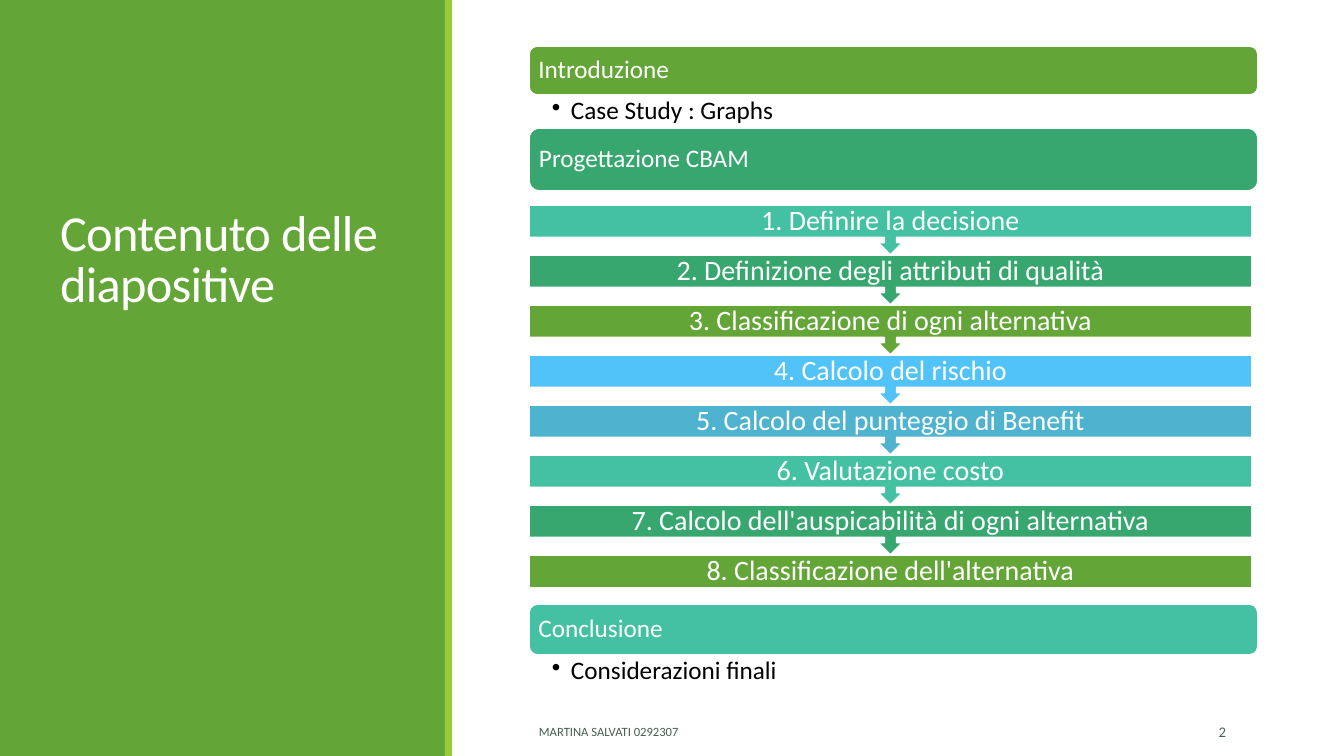
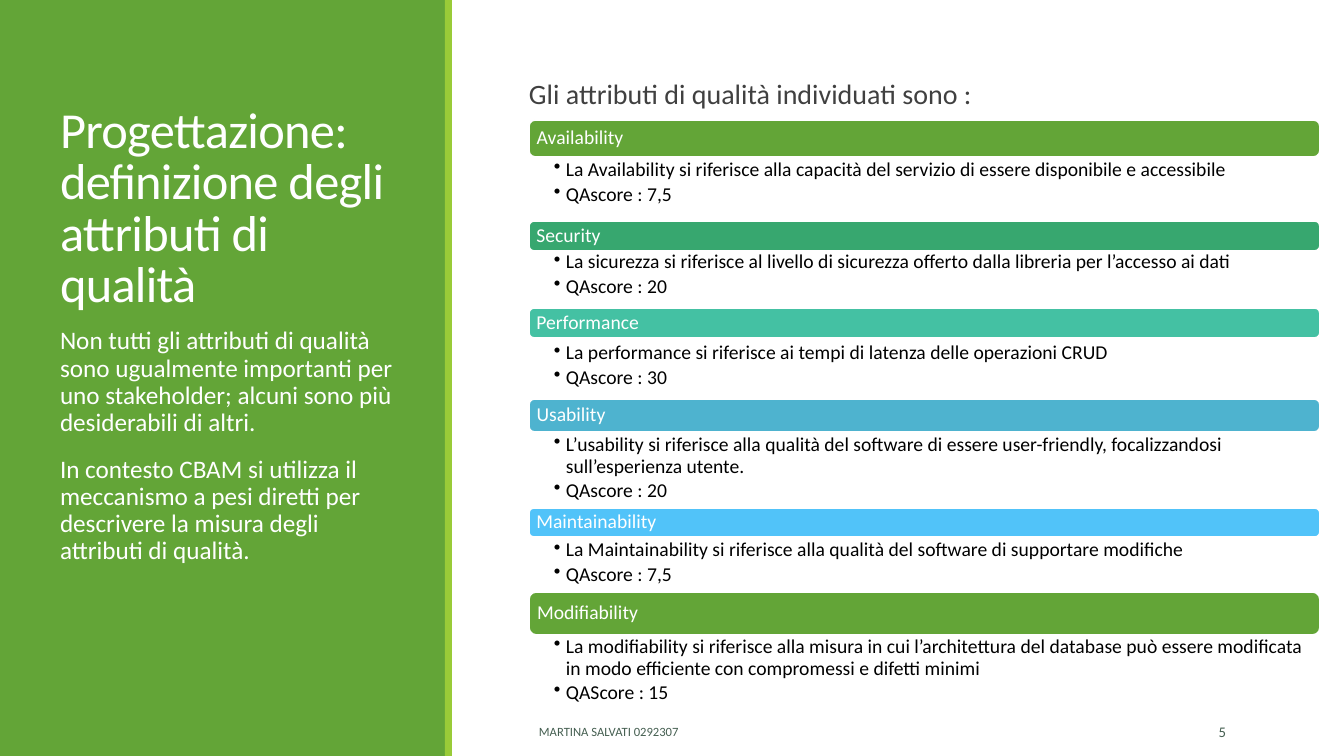
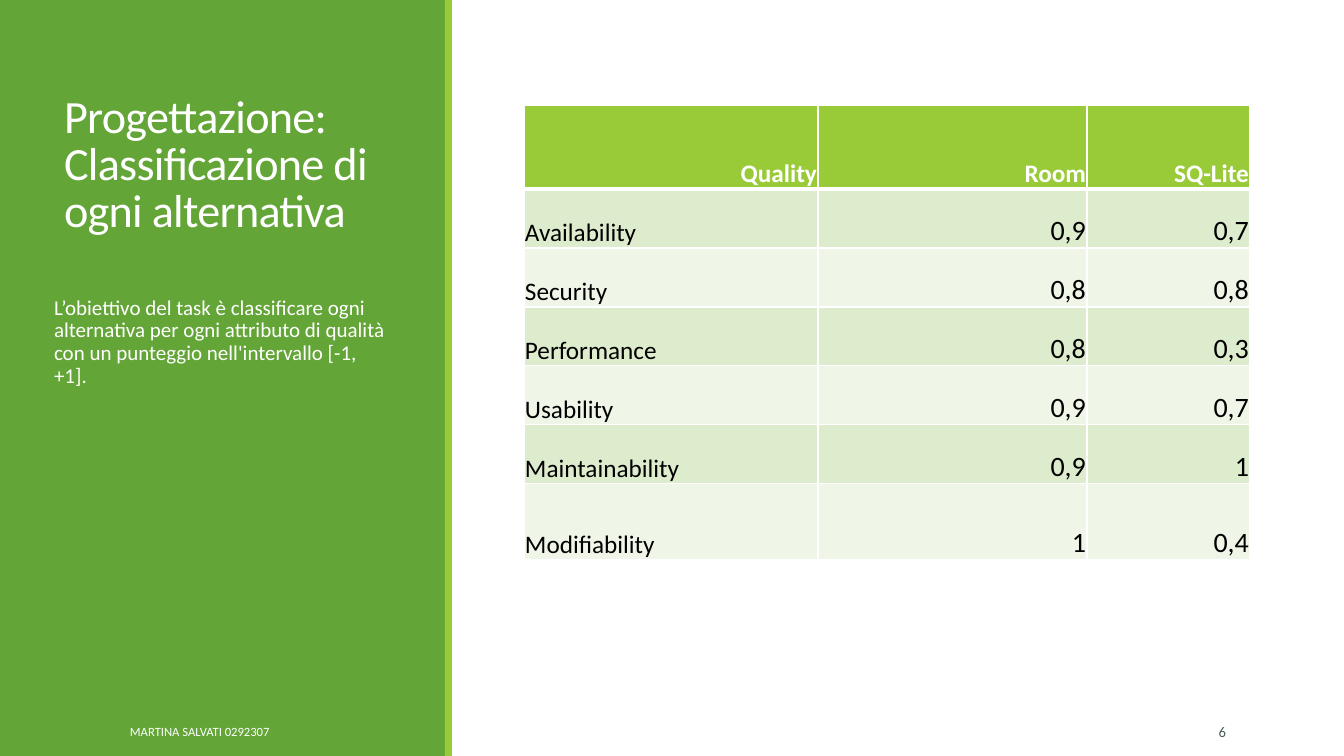
import dataclasses
import itertools

import lxml.etree
import pptx
import pptx.dml.color
import pptx.enum.shapes
import pptx.enum.text
import pptx.oxml.ns
import pptx.util

PX = 914400 / 100.8
SHAPE = pptx.enum.shapes.MSO_SHAPE
ANCHOR = pptx.enum.text.MSO_ANCHOR
ALIGN = pptx.enum.text.PP_ALIGN


@dataclasses.dataclass(frozen=True)
class Theme:
    """Colours, font and type sizes of the deck."""
    font: str = "Calibri"
    white: str = "FFFFFF"
    black: str = "000000"
    grey: str = "404040"
    footer: str = "455F51"
    green: str = "63A537"
    lime: str = "99CB38"
    emerald: str = "37A76F"
    teal: str = "44C1A3"
    blue: str = "4EB3CF"
    sky: str = "51C3F9"
    stripes: tuple = ("DEECCE", "EFF6E8")
    title: float = 36
    small_title: float = 33
    large: float = 20
    medium: float = 18
    note: float = 15
    small: float = 14
    number: float = 10.5
    tiny: float = 9


T = Theme()


def emu(*lengths):
    """Turn pixel lengths into EMU."""
    return [pptx.util.Emu(round(n * PX)) for n in lengths]


def rgb(color):
    """Return the colour object for a hex string."""
    return pptx.dml.color.RGBColor.from_string(color)


def node(parent, tag, **attrs):
    """Append a DrawingML element to its parent."""
    return lxml.etree.SubElement(parent, pptx.oxml.ns.qn("a:" + tag), **attrs)


def write(tf, *texts, size=T.medium, color=T.white, bold=False, align=ALIGN.LEFT,
          anchor=ANCHOR.TOP, inset=(10, 5, 10, 5), line=1.0, before=0, after=0,
          spacing=None, hang=None):
    """Write one formatted paragraph per text; hang is the bullet indent."""
    tf.word_wrap = True
    tf.auto_size = pptx.enum.text.MSO_AUTO_SIZE.NONE
    tf.vertical_anchor = anchor
    tf.margin_left, tf.margin_top, tf.margin_right, tf.margin_bottom = emu(*inset)
    for i, text in enumerate(texts):
        p = tf.add_paragraph() if i else tf.paragraphs[0]
        p.alignment, p.line_spacing = align, line
        p.space_before, p.space_after = pptx.util.Pt(before), pptx.util.Pt(after)
        indent = emu(hang or 0)[0]
        pPr = p._p.get_or_add_pPr()
        pPr.set("marL", str(indent))
        pPr.set("indent", str(-indent))
        if hang:
            node(pPr, "buChar", char="•")
        else:
            node(pPr, "buNone")
        r = p.add_run()
        r.text = text
        r.font.name, r.font.size, r.font.bold = T.font, pptx.util.Pt(size), bold
        r.font.color.rgb = rgb(color)
        if spacing:
            r._r.get_or_add_rPr().set("spc", str(spacing))


def add_box(s, kind, box, fill, line=None):
    """Add a flat filled shape, outlined if a line colour is given."""
    sp = s.shapes.add_shape(kind, *emu(*box))
    sp.shadow.inherit = False
    sp.fill.solid()
    sp.fill.fore_color.rgb = rgb(fill)
    if line:
        sp.line.color.rgb = rgb(line)
        sp.line.width = pptx.util.Pt(1.25)
    else:
        sp.line.fill.background()
    return sp


def add_text(s, box, *texts, **style):
    """Add a text box."""
    write(s.shapes.add_textbox(*emu(*box)).text_frame, *texts, **style)


def fill_placeholder(sp, box, *texts, **style):
    """Move a placeholder to a box and write into it."""
    sp.left, sp.top, sp.width, sp.height = emu(*box)
    write(sp.text_frame, *texts, **style)


def side_panel(s):
    """Put the green panel and its lime edge behind everything else."""
    bands = [((0, 0, 446, 756), T.green), ((445, 0, 7, 756), T.lime)]
    for i, (box, color) in enumerate(bands):
        sp = add_box(s, SHAPE.RECTANGLE, box, color)
        s.shapes.element.insert(2 + i, sp.element)


def footer(s, number, box=(529, 712, 512, 40), color=T.footer):
    """Add the author line and the slide number."""
    add_text(s, box, "MARTINA SALVATI 0292307", size=T.tiny, color=color,
             anchor=ANCHOR.MIDDLE)
    add_text(s, (1092, 712, 144, 40), number, size=T.number, color=T.footer,
             align=ALIGN.RIGHT, anchor=ANCHOR.MIDDLE)


def new_slide(prs, layout, title, box=(50, 66, 353, 252), **style):
    """Add a slide with the side panel and its title."""
    s = prs.slides.add_slide(prs.slide_layouts.get_by_name(layout))
    side_panel(s)
    style = {"size": T.title, **style}
    fill_placeholder(s.shapes.title, box, title, anchor=ANCHOR.BOTTOM, line=0.85,
                     spacing=-50, **style)
    return s


def heading(s, box, text, color, size, inset):
    """Add a rounded section bar."""
    sp = add_box(s, SHAPE.ROUNDED_RECTANGLE, box, color, T.white)
    write(sp.text_frame, text, size=size, anchor=ANCHOR.MIDDLE, line=0.9,
          inset=(inset, 0, inset, 0))


def steps(s, box, pitch, texts):
    """Stack arrow callouts that each lead to the next; the last is a plain bar."""
    left, top, width, bar = box
    colors = itertools.cycle((T.teal, T.emerald, T.green, T.sky, T.blue))
    rows = list(enumerate(zip(texts, colors)))
    for i, (text, color) in reversed(rows):
        last = i == len(texts) - 1
        kind = SHAPE.RECTANGLE if last else SHAPE.DOWN_ARROW_CALLOUT
        sp = add_box(s, kind, (left, top + i * pitch, width, bar if last else pitch),
                     color, T.white)
        write(sp.text_frame, f"{i + 1}. {text}", size=T.large, align=ALIGN.CENTER,
              anchor=ANCHOR.MIDDLE, line=0.9, inset=(16, 0, 16, 0))


def score_table(s, box, cols, heights, rows):
    """Add the table of scores with a lime header and striped rows."""
    table = s.shapes.add_table(len(rows), len(cols), *emu(*box)).table
    for column, width in zip(table.columns, emu(*cols)):
        column.width = width
    for i, (row, height) in enumerate(zip(rows, emu(*heights))):
        table.rows[i].height = height
        for j, text in enumerate(row):
            header, label = i == 0, j == 0
            cell = table.cell(i, j)
            cell.fill.solid()
            cell.fill.fore_color.rgb = rgb(T.lime if header else T.stripes[(i - 1) % 2])
            write(cell.text_frame, text, bold=header,
                  size=T.medium if header or label else T.large,
                  color=T.white if header else T.black,
                  align=ALIGN.LEFT if label and not header else ALIGN.RIGHT)
            cell.vertical_anchor = ANCHOR.BOTTOM
            (cell.margin_left, cell.margin_top,
             cell.margin_right, cell.margin_bottom) = emu(1, 1, 1, 0)
            cell_borders(cell, top=3 if i == 1 else 1, bottom=3 if header else 1)


def cell_borders(cell, top, bottom):
    """Draw white borders, widths in points."""
    tcPr = cell._tc.get_or_add_tcPr()
    for i, (side, width) in enumerate(zip("LRTB", (1, 1, top, bottom))):
        ln = node(tcPr, "ln" + side, w=str(pptx.util.Pt(width)))
        node(node(ln, "solidFill"), "srgbClr", val=T.white)
        tcPr.insert(i, ln)


def contents_slide(prs):
    """Build the table of contents."""
    s = new_slide(prs, "Title Only", "Contenuto delle diapositive")
    footer(s, "2")
    left, width = 529, 729
    for top, height, text, color, point in (
            (46, 49, "Introduzione", T.green, "Case Study : Graphs"),
            (128, 63, "Progettazione CBAM", T.emerald, None),
            (604, 51, "Conclusione", T.teal, "Considerazioni finali")):
        heading(s, (left, top, width, height), text, color, T.medium, 7)
        if point:
            add_text(s, (left, top + height, width, 56), point, color=T.black,
                     line=0.9, inset=(23, 3, 14, 3), hang=19)
    steps(s, (left, 205, 723, 33), 50, (
        "Definire la decisione",
        "Definizione degli attributi di qualità",
        "Classificazione di ogni alternativa",
        "Calcolo del rischio",
        "Calcolo del punteggio di Benefit",
        "Valutazione costo",
        "Calcolo dell'auspicabilità di ogni alternativa",
        "Classificazione dell'alternativa"))


def attributes_slide(prs):
    """Build the list of quality attributes."""
    s = new_slide(prs, "Two Content",
                  "Progettazione: definizione degli attributi di qualità")
    body = {"line": 0.9, "before": 12, "after": 2}
    fill_placeholder(s.placeholders[1], (529, 75, 716, 580),
                     "Gli attributi di qualità individuati sono :",
                     size=T.large, color=T.grey, inset=(0, 5, 0, 5), **body)
    fill_placeholder(
        s.placeholders[2], (50, 323, 353, 373),
        "Non tutti gli attributi di qualità sono ugualmente importanti per uno "
        "stakeholder; alcuni sono più desiderabili di altri.",
        "In contesto CBAM si utilizza il meccanismo a pesi diretti per descrivere "
        "la misura degli attributi di qualità.", **body)
    footer(s, "5")
    left, width = 529, 791
    for top, height, body_top, body_height, name, color, about, score in (
            (120, 37, 158, 58, "Availability", T.green,
             "La Availability si riferisce alla capacità del servizio di essere "
             "disponibile e accessibile", "QAscore : 7,5"),
            (221, 30, 250, 58, "Security", T.emerald,
             "La sicurezza si riferisce al livello di sicurezza offerto dalla "
             "libreria per l’accesso ai dati", "QAscore : 20"),
            (308, 30, 341, 58, "Performance", T.teal,
             "La performance si riferisce ai tempi di latenza delle operazioni CRUD",
             "QAscore : 30"),
            (399, 33, 433, 75, "Usability", T.blue,
             "L’usability si riferisce alla qualità del software di essere "
             "user-friendly, focalizzandosi sull’esperienza utente.", "QAscore : 20"),
            (508, 29, 538, 58, "Maintainability", T.sky,
             "La Maintainability si riferisce alla qualità del software di "
             "supportare modifiche", "QAscore : 7,5"),
            (592, 43, 635, 75, "Modifiability", T.green,
             "La modifiability si riferisce alla misura in cui l’architettura del "
             "database può essere modificata in modo efficiente con compromessi e "
             "difetti minimi", "QAScore : 15")):
        heading(s, (left, top, width, height), name, color, T.small, 6)
        add_text(s, (left, body_top, width, body_height), about, score, size=T.small,
                 color=T.black, line=0.9, after=2.5, inset=(25, 2, 11, 2), hang=12)


def scores_slide(prs):
    """Build the ranking of the alternatives."""
    s = new_slide(prs, "Title and Content",
                  "Progettazione: Classificazione di ogni alternativa",
                  (54, 57, 340, 232), size=T.small_title, inset=(10, 5, 10, 52))
    fill_placeholder(
        s.placeholders[1], (54, 292, 340, 368),
        "L’obiettivo del task è classificare ogni alternativa per ogni attributo di "
        "qualità con un punteggio nell'intervallo [-1, +1].",
        size=T.note, inset=(0, 5, 0, 5), line=0.9, before=12, after=2)
    footer(s, "6", (120, 712, 414, 40), T.white)
    score_table(s, (524, 105, 726, 455), (294, 269, 163),
                (84, 59, 59, 59, 59, 59, 76), (
        ("Quality", "Room", "SQ-Lite"),
        ("Availability", "0,9", "0,7"),
        ("Security", "0,8", "0,8"),
        ("Performance", "0,8", "0,3"),
        ("Usability", "0,9", "0,7"),
        ("Maintainability", "0,9", "1"),
        ("Modifiability", "1", "0,4")))


def main():
    """Build and save the deck."""
    prs = pptx.Presentation()
    prs.slide_width, prs.slide_height = emu(1344, 756)
    contents_slide(prs)
    attributes_slide(prs)
    scores_slide(prs)
    prs.save("out.pptx")


main()
